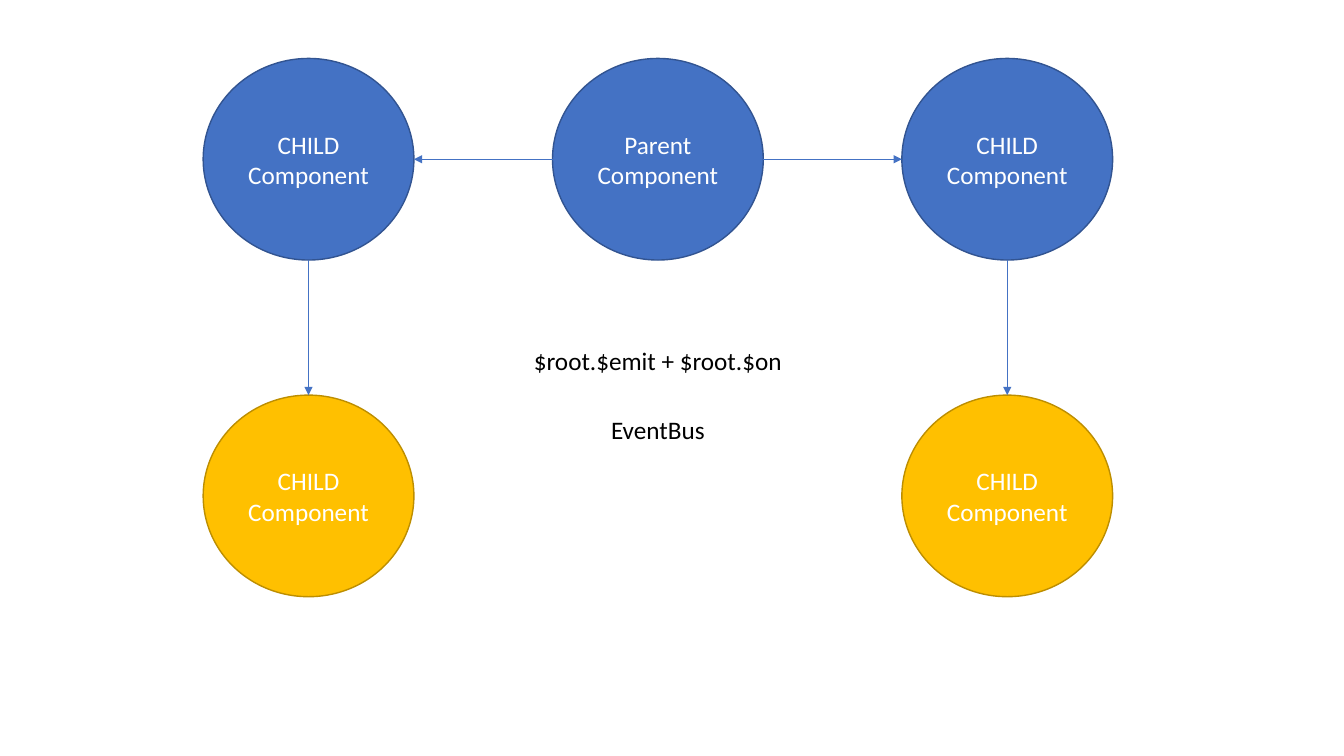
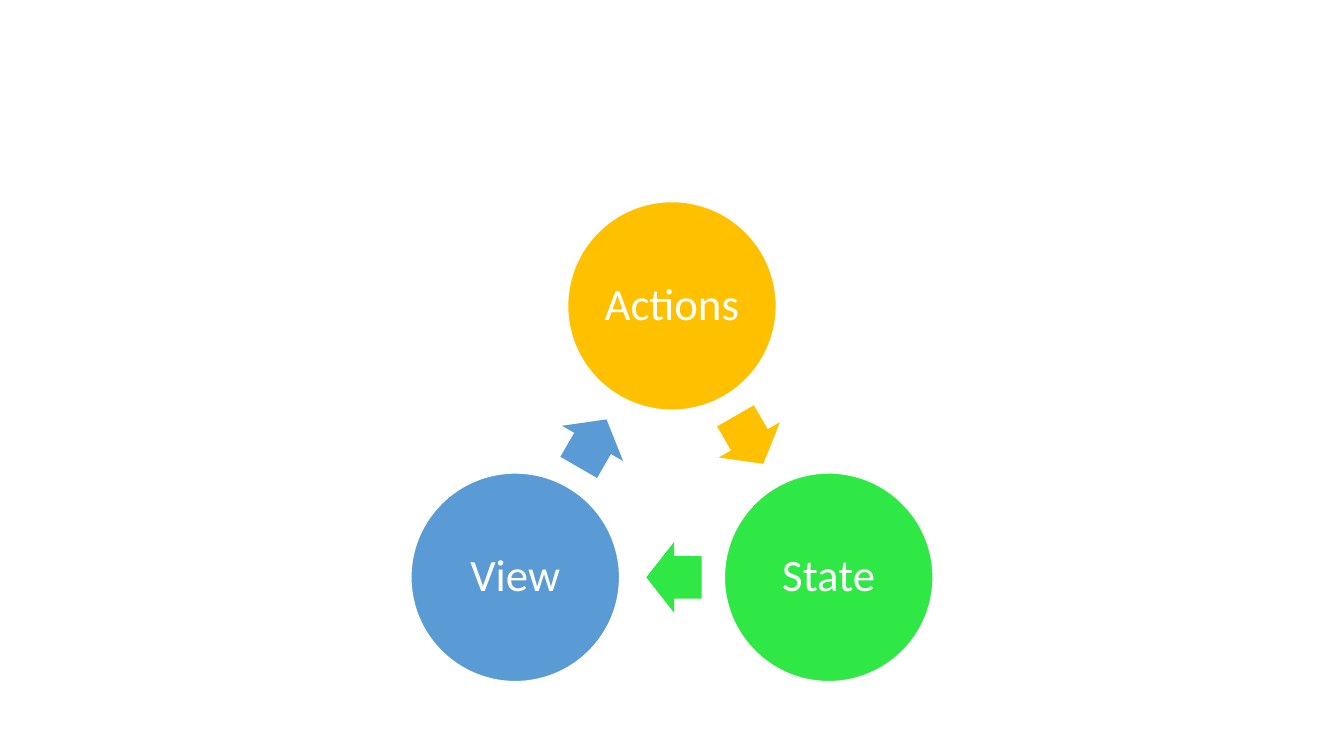
import math

import lxml.etree
import pptx
import pptx.dml.color
import pptx.enum.shapes
import pptx.enum.text
import pptx.oxml.ns
import pptx.util

RGBColor = pptx.dml.color.RGBColor
WHITE = RGBColor(0xFF, 0xFF, 0xFF)
BLACK = RGBColor(0x00, 0x00, 0x00)
BLUE = RGBColor(0x44, 0x72, 0xC4)
DARK_BLUE = RGBColor(0x32, 0x54, 0x91)
GOLD = RGBColor(0xFF, 0xC0, 0x00)
DARK_GOLD = RGBColor(0xBD, 0x8E, 0x00)
GREEN = RGBColor(0x30, 0xE8, 0x45)
LIGHT_BLUE = RGBColor(0x5B, 0x9B, 0xD5)
FONT = "Calibri"

SLIDE_WIDTH, SLIDE_HEIGHT = 13.33, 7.5

NODE_WIDTH, NODE_HEIGHT = 2.09, 2
GRID_LEFT, GRID_TOP = 3.06, 1.58
COLUMN_STEP, ROW_STEP = 6.93 / 2, 3.34

CYCLE_X, CYCLE_Y = SLIDE_WIDTH / 2, 4.83
CYCLE_RADIUS = 1.795
CIRCLE_SIZE = 2.07
ARROW_LENGTH, ARROW_WIDTH = 0.55, 0.7
ARROW_LAG = 0.02

COMPONENTS = [
    ("CHILD Component", 0, 0, BLUE, DARK_BLUE),
    ("Parent Component", 1, 0, BLUE, DARK_BLUE),
    ("CHILD Component", 2, 0, BLUE, DARK_BLUE),
    ("CHILD Component", 0, 1, GOLD, DARK_GOLD),
    ("CHILD Component", 2, 1, GOLD, DARK_GOLD),
]
LINKS = [((1, 0), (0, 0)), ((1, 0), (2, 0)), ((0, 0), (0, 1)), ((2, 0), (2, 1))]
LABELS = [("$root.$emit + $root.$on", 2.69, 3.58), ("EventBus", 1.14, 4.26)]
STAGES = [("Actions", GOLD), ("State", GREEN), ("View", LIGHT_BLUE)]


def centred_frame(x, y, width, height):
    return [pptx.util.Inches(n) for n in (x - width / 2, y - height / 2, width, height)]


def grid_point(column, row):
    return GRID_LEFT + column * COLUMN_STEP, GRID_TOP + row * ROW_STEP


def cycle_point(index):
    angle = math.radians(index * 360 / len(STAGES) - 90)
    return CYCLE_X + CYCLE_RADIUS * math.cos(angle), CYCLE_Y + CYCLE_RADIUS * math.sin(angle)


def write_text(box, text, size, colour):
    para = box.text_frame.paragraphs[0]
    para.text = text
    para.alignment = pptx.enum.text.PP_ALIGN.CENTER
    para.font.name = FONT
    para.font.size = pptx.util.Pt(size)
    para.font.color.rgb = colour
    return para


def add_filled(page, kind, frame, fill):
    shape = page.shapes.add_shape(kind, *frame)
    shape.shadow.inherit = False
    shape.fill.solid()
    shape.fill.fore_color.rgb = fill
    return shape


def add_circle(page, frame, text, size, fill, outline):
    circle = add_filled(page, pptx.enum.shapes.MSO_SHAPE.OVAL, frame, fill)
    circle.line.color.rgb = outline
    circle.line.width = pptx.util.Pt(1)
    circle.text_frame.word_wrap = True
    circle.text_frame.vertical_anchor = pptx.enum.text.MSO_ANCHOR.MIDDLE
    write_text(circle, text, size, WHITE)
    return circle


def add_link(page, source, target):
    start, end = grid_point(*source), grid_point(*target)
    reach_x = math.copysign(NODE_WIDTH / 2, end[0] - start[0]) if source[0] != target[0] else 0
    reach_y = math.copysign(NODE_HEIGHT / 2, end[1] - start[1]) if source[1] != target[1] else 0
    ends = (start[0] + reach_x, start[1] + reach_y, end[0] - reach_x, end[1] - reach_y)
    link = page.shapes.add_connector(
        pptx.enum.shapes.MSO_CONNECTOR.STRAIGHT, *[pptx.util.Inches(n) for n in ends])
    link.line.color.rgb = BLUE
    link.line.width = pptx.util.Pt(0.5)
    qn = pptx.oxml.ns.qn
    outline = link.line._get_or_add_ln()
    lxml.etree.SubElement(outline, qn("a:tailEnd"), type="triangle")
    lxml.etree.SubElement(link._element.spPr, qn("a:effectLst"))


def add_label(page, text, width, y):
    x, _ = grid_point(1, 0)
    label = page.shapes.add_textbox(*centred_frame(x, y, width, 0.4))
    label.text_frame.word_wrap = False
    label.text_frame.auto_size = pptx.enum.text.MSO_AUTO_SIZE.SHAPE_TO_FIT_TEXT
    write_text(label, text, 18, BLACK)


def add_stage(page, index, text, fill):
    frame = centred_frame(*cycle_point(index), CIRCLE_SIZE, CIRCLE_SIZE)
    circle = add_circle(page, frame, text, 32, fill, WHITE)
    box = circle.text_frame
    box.margin_left = box.margin_right = pptx.util.Inches(0.04)
    box.margin_top = box.margin_bottom = pptx.util.Inches(0.04)
    box.paragraphs[0].line_spacing = 0.9


def add_cycle_arrow(page, index, fill):
    start, end = cycle_point(index), cycle_point(index + 1)
    angle = math.atan2(end[1] - start[1], end[0] - start[0])
    x = (start[0] + end[0]) / 2 - ARROW_LAG * math.cos(angle)
    y = (start[1] + end[1]) / 2 - ARROW_LAG * math.sin(angle)
    arrow = add_filled(page, pptx.enum.shapes.MSO_SHAPE.RIGHT_ARROW,
                       centred_frame(x, y, ARROW_LENGTH, ARROW_WIDTH), fill)
    arrow.line.fill.background()
    arrow.adjustments[0] = 0.6
    arrow.adjustments[1] = 0.5
    arrow.rotation = round(math.degrees(angle)) % 360


def build_component_tree(page):
    for text, column, row, fill, outline in COMPONENTS:
        frame = centred_frame(*grid_point(column, row), NODE_WIDTH, NODE_HEIGHT)
        add_circle(page, frame, text, 18, fill, outline)
    for source, target in LINKS:
        add_link(page, source, target)
    for text, width, y in LABELS:
        add_label(page, text, width, y)


def build_state_cycle(page):
    for index, (text, fill) in enumerate(STAGES):
        add_stage(page, index, text, fill)
        add_cycle_arrow(page, index, fill)


def main():
    deck = pptx.Presentation()
    deck.slide_width = pptx.util.Inches(SLIDE_WIDTH)
    deck.slide_height = pptx.util.Inches(SLIDE_HEIGHT)
    blank = deck.slide_layouts[6]
    for build in (build_component_tree, build_state_cycle):
        build(deck.slides.add_slide(blank))
    deck.save("out.pptx")


if __name__ == "__main__":
    main()
